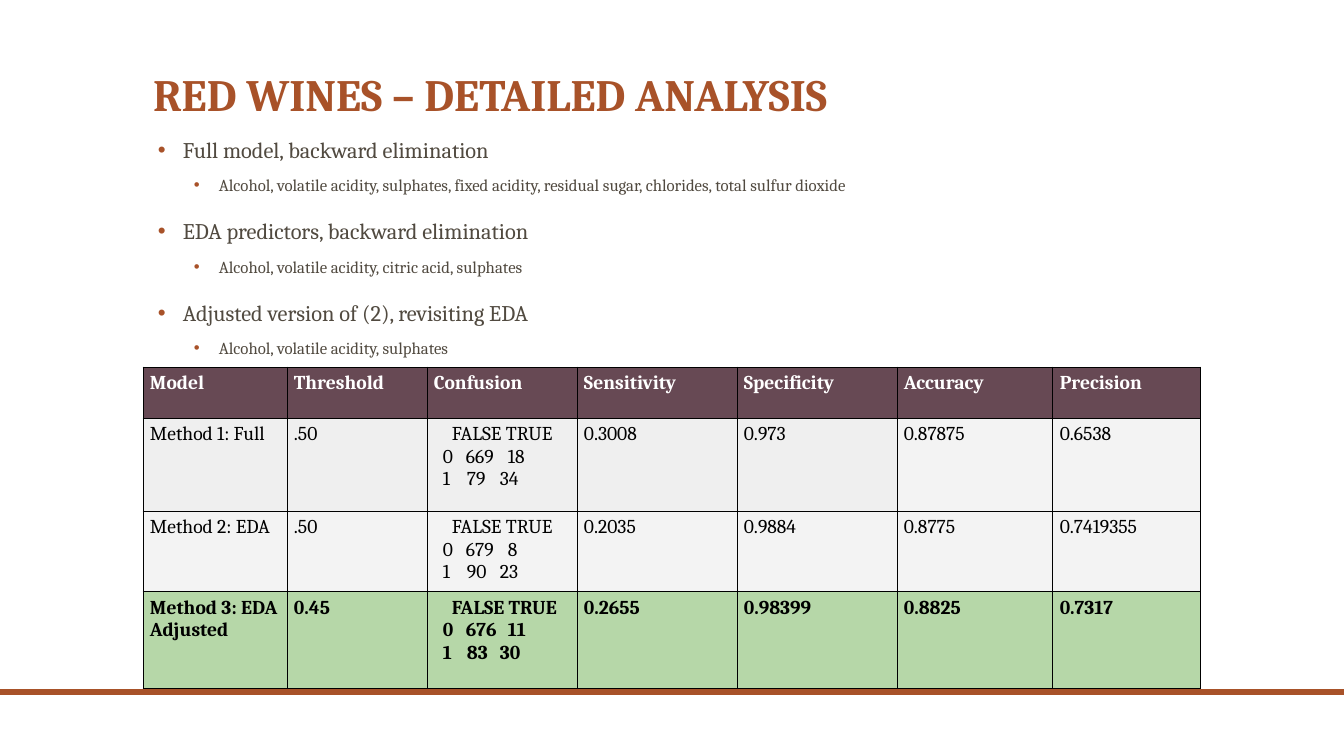
from lxml import etree
from pptx import Presentation
from pptx.dml.color import RGBColor
from pptx.enum.shapes import MSO_SHAPE
from pptx.enum.text import MSO_ANCHOR, MSO_AUTO_SIZE, PP_ALIGN
from pptx.oxml.ns import qn
from pptx.util import Pt

RECTANGLE = MSO_SHAPE.RECTANGLE
TOP, BOTTOM = MSO_ANCHOR.TOP, MSO_ANCHOR.BOTTOM
LEFT = PP_ALIGN.LEFT
NO_FIT = MSO_AUTO_SIZE.NONE

SLIDE_WIDTH, SLIDE_HEIGHT = 1344, 756
EMU_PER_PX = 12192000 / SLIDE_WIDTH
FONT = "Cambria"
RUST, BROWN, PLUM = "A85229", "514A40", "674954"
BLACK, WHITE = "000000", "FFFFFF"
GREY, PALE, GREEN = "EFEFEF", "F3F3F3", "B6D7A8"
TAB = "\t"

MODELS = [
    ("Full model, backward elimination",
     "Alcohol, volatile acidity, sulphates, fixed acidity, residual sugar, chlorides, total sulfur dioxide"),
    ("EDA predictors, backward elimination",
     "Alcohol, volatile acidity, citric acid, sulphates"),
    ("Adjusted version of (2), revisiting EDA",
     "Alcohol, volatile acidity, sulphates"),
]
BULLET_LEVELS = [(30, 16, 18), (66, 12, 10)]

HEADINGS = ["Model", "Threshold", "Confusion", "Sensitivity", "Specificity", "Accuracy", "Precision"]
RESULTS = [
    ["Method 1: Full", ".50", [("669", "18"), ("79", "34")], "0.3008", "0.973", "0.87875", "0.6538"],
    ["Method 2: EDA", ".50", [("679", "8"), ("90", "23")], "0.2035", "0.9884", "0.8775", "0.7419355"],
    ["Method 3: EDA Adjusted", "0.45", [("676", "11"), ("83", "30")], "0.2655", "0.98399", "0.8825", "0.7317"],
]
ROW_FILLS = [[PLUM] * 7, [GREY] * 5 + [PALE] * 2, [PALE] * 7, [GREEN] * 7]
COLUMN_WIDTHS = [144, 140, 150, 160, 160, 156, 148]
ROW_HEIGHTS = [51, 93, 77, 97]
CONFUSION_STOPS = [[18], [9, 32, 74], [9, 33, 66]]


def px(length):
    """Turn pixels into EMU."""
    return round(length * EMU_PER_PX)


def color(value):
    """Turn a hex string into a colour."""
    return RGBColor.from_string(value)


def style(paragraph, size, value, bold=False):
    """Format every run of a paragraph."""
    for span in paragraph.runs:
        span.font.name = FONT
        span.font.size = Pt(size)
        span.font.bold = bold
        span.font.color.rgb = color(value)


def add_bullet(paragraph, margin):
    """Give a paragraph a rust bullet hanging at the margin."""
    properties = paragraph._p.get_or_add_pPr()
    properties.set("marL", str(px(margin)))
    properties.set("indent", str(px(-25)))
    tint = etree.SubElement(properties, qn("a:buClr"))
    etree.SubElement(tint, qn("a:srgbClr"), val=RUST)
    etree.SubElement(properties, qn("a:buFont"), typeface="Arial")
    etree.SubElement(properties, qn("a:buChar"), char="•")


def add_tabs(paragraph, stops):
    """Set left tab stops on a paragraph."""
    tabs = etree.SubElement(paragraph._p.get_or_add_pPr(), qn("a:tabLst"))
    for stop in stops:
        etree.SubElement(tabs, qn("a:tab"), pos=str(px(stop)), algn="l")


def add_borders(cell):
    """Draw a thin black line on each side of a cell."""
    properties = cell._tc.get_or_add_tcPr()
    for side in ("lnL", "lnR", "lnT", "lnB"):
        line = etree.SubElement(properties, qn(f"a:{side}"), w=str(Pt(0.5)))
        fill = etree.SubElement(line, qn("a:solidFill"))
        etree.SubElement(fill, qn("a:srgbClr"), val=BLACK)


def add_bar(page, left, top, width, height):
    """Add the rust bar across the foot of the slide."""
    bar = page.shapes.add_shape(RECTANGLE, px(left), px(top), px(width), px(height))
    bar.shadow.inherit = False
    bar.fill.solid()
    bar.fill.fore_color.rgb = color(RUST)
    bar.line.fill.background()


def place_title(page, left, top, width, height):
    """Place and format the slide title."""
    title = page.shapes.title
    title.left, title.top, title.width, title.height = map(px, (left, top, width, height))
    frame = title.text_frame
    frame.text = "RED WINES – DETAILED ANALYSIS"
    frame.auto_size = NO_FIT
    frame.vertical_anchor = BOTTOM
    paragraph = frame.paragraphs[0]
    paragraph.alignment = LEFT
    paragraph.line_spacing = 0.9
    style(paragraph, 32, RUST, True)


def add_models(page, left, top, width, height):
    """Add the two-level list of models and their predictors."""
    box = page.shapes.add_textbox(px(left), px(top), px(width), px(height))
    frame = box.text_frame
    frame.word_wrap = True
    frame.text = "\n".join(line for model in MODELS for line in model)
    for index, paragraph in enumerate(frame.paragraphs):
        level = index % 2
        margin, size, space = BULLET_LEVELS[level]
        paragraph.level = level
        add_bullet(paragraph, margin)
        paragraph.line_spacing = 0.9
        if index:
            paragraph.space_before = Pt(space)
        style(paragraph, size, BROWN)


def fill_confusion(frame, counts):
    """Write a confusion matrix, its columns set by tab stops."""
    lines = [("FALSE TRUE",)] + [(str(actual), *pair) for actual, pair in enumerate(counts)]
    frame.text = "\n".join(TAB + TAB.join(line) for line in lines)
    for paragraph, stops in zip(frame.paragraphs, CONFUSION_STOPS):
        add_tabs(paragraph, stops)


def fill_cell(cell, content, fill, text_color, bold):
    """Write and format one table cell."""
    cell.margin_left = cell.margin_right = px(7)
    cell.margin_top = cell.margin_bottom = px(5)
    cell.vertical_anchor = TOP
    add_borders(cell)
    cell.fill.solid()
    cell.fill.fore_color.rgb = color(fill)
    if isinstance(content, list):
        fill_confusion(cell.text_frame, content)
    else:
        cell.text_frame.text = content
    for paragraph in cell.text_frame.paragraphs:
        style(paragraph, 14, text_color, bold)


def add_results(page, left, top, width, height):
    """Add the table comparing the methods."""
    rows = [HEADINGS] + RESULTS
    frame = page.shapes.add_table(len(rows), len(HEADINGS), px(left), px(top), px(width), px(height))
    table = frame.table
    table.horz_banding = False
    for column, column_width in zip(table.columns, COLUMN_WIDTHS):
        column.width = px(column_width)
    for row, row_height in zip(table.rows, ROW_HEIGHTS):
        row.height = px(row_height)
    for row_index, (contents, fills) in enumerate(zip(rows, ROW_FILLS)):
        text_color = BLACK if row_index else WHITE
        bold = row_index in (0, len(rows) - 1)
        for column_index, (content, fill) in enumerate(zip(contents, fills)):
            fill_cell(table.cell(row_index, column_index), content, fill, text_color, bold)


def main():
    """Build the deck and save it."""
    deck = Presentation()
    deck.slide_width, deck.slide_height = px(SLIDE_WIDTH), px(SLIDE_HEIGHT)
    page = deck.slides.add_slide(deck.slide_layouts[5])
    left, width = 143, sum(COLUMN_WIDTHS)
    add_bar(page, 0, 689, SLIDE_WIDTH, 6)
    place_title(page, left, 0, width, 126)
    add_models(page, left, 134, width, 454)
    add_results(page, left, 367, width, sum(ROW_HEIGHTS))
    deck.save("out.pptx")


if __name__ == "__main__":
    main()
